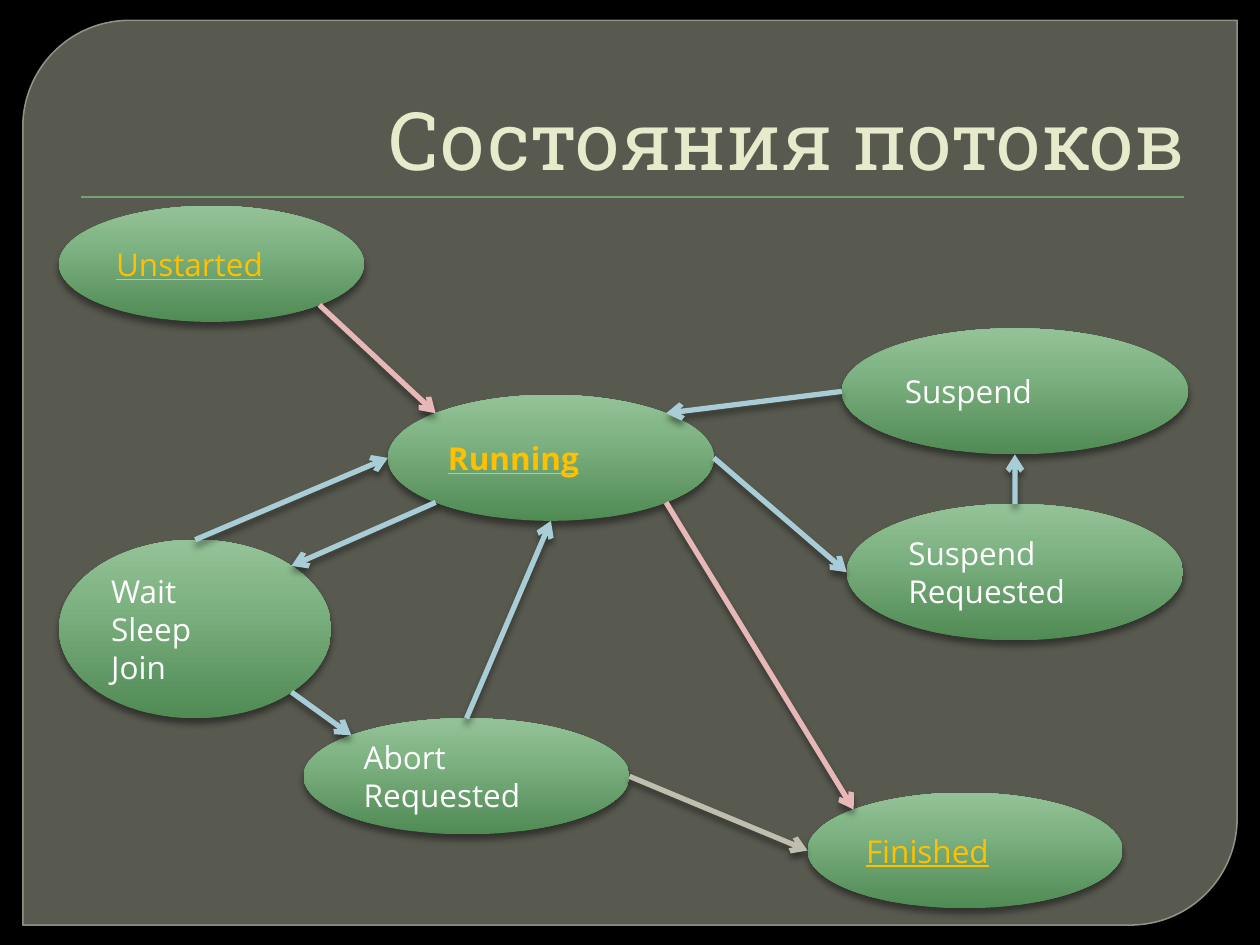
"""Build the thread state diagram slide."""
import copy
import dataclasses
import enum
import math

import lxml.etree
import pptx
import pptx.dml.color
import pptx.enum.shapes
import pptx.enum.text
import pptx.oxml.ns
import pptx.util

Cm = pptx.util.Cm
qn = pptx.oxml.ns.qn
SHAPES = pptx.enum.shapes.MSO_SHAPE
COLORS = {
    "background": "000000", "panel": "888B7B", "panel_line": "9DA090",
    "rule": "72A376", "title": "E7EACB", "text": "FFFFFF", "main_text": "FFC000",
    "dark": "508A55", "middle": "83B687", "light": "94C298", "shadow": "000000",
    "main_flow": "E8B7B7", "flow": "A8CDD7", "abort_flow": "C0BEAF",
}
GRADIENT = ((0, "dark"), (0.72, "middle"), (1, "light"))


class Site(enum.IntEnum):
    TOP = 0
    TOP_LEFT = 1
    LEFT = 2
    BOTTOM_LEFT = 3
    BOTTOM = 4
    BOTTOM_RIGHT = 5
    RIGHT = 6
    TOP_RIGHT = 7


@dataclasses.dataclass(frozen=True)
class State:
    name: str
    text: str
    left: float
    top: float
    width: float
    height: float
    color: str = "text"
    bold: bool = False

    def point(self, site: Site) -> tuple:
        angle = math.radians(90 + 45 * site)
        x = self.left + self.width / 2 * (1 + math.cos(angle))
        y = self.top + self.height / 2 * (1 - math.sin(angle))
        return Cm(x), Cm(y)


@dataclasses.dataclass(frozen=True)
class Transition:
    source: str
    source_site: Site
    target: str
    target_site: Site
    color: str = "flow"


STATES = (
    State("unstarted", "Unstarted", 1.19, 4.15, 6.15, 2.34, "main_text"),
    State("running", "Running", 7.82, 7.96, 6.57, 2.54, "main_text", True),
    State("suspend", "Suspend", 16.97, 6.62, 6.98, 2.54),
    State("suspend_requested", "Suspend\nRequested", 17.07, 10.16, 6.78, 2.75),
    State("wait", "Wait\nSleep\nJoin", 1.19, 10.88, 5.49, 3.6),
    State("finished", "Finished", 16.28, 15.98, 6.35, 2.33, "main_text"),
    State("abort", "Abort Requested", 6.12, 14.48, 6.57, 2.34),
)
TRANSITIONS = (
    Transition("unstarted", Site.BOTTOM_RIGHT, "running", Site.TOP_LEFT, "main_flow"),
    Transition("running", Site.BOTTOM_RIGHT, "finished", Site.TOP_LEFT, "main_flow"),
    Transition("running", Site.BOTTOM_LEFT, "wait", Site.TOP_RIGHT),
    Transition("wait", Site.TOP, "running", Site.LEFT),
    Transition("wait", Site.BOTTOM_RIGHT, "abort", Site.TOP_LEFT),
    Transition("abort", Site.TOP, "running", Site.BOTTOM),
    Transition("running", Site.RIGHT, "suspend_requested", Site.LEFT),
    Transition("suspend_requested", Site.TOP, "suspend", Site.BOTTOM),
    Transition("suspend", Site.LEFT, "running", Site.TOP_RIGHT),
    Transition("abort", Site.RIGHT, "finished", Site.LEFT, "abort_flow"),
)


def rgb(name: str) -> pptx.dml.color.RGBColor:
    return pptx.dml.color.RGBColor.from_string(COLORS[name])


def add_element(parent, tag: str, **attributes):
    values = {key: str(value) for key, value in attributes.items()}
    return lxml.etree.SubElement(parent, qn(tag), values)


def set_opacity(properties, percent: int) -> None:
    color = properties.find(qn("a:solidFill")).find(qn("a:srgbClr"))
    add_element(color, "a:alpha", val=percent * 1000)


def add_shadow(shape) -> None:
    effects = shape._element.spPr.find(qn("a:effectLst"))
    shadow = add_element(effects, "a:outerShdw", blurRad=pptx.util.Pt(4),
                         dist=pptx.util.Pt(3), dir=5400000, rotWithShape=0)
    color = add_element(shadow, "a:srgbClr", val=COLORS["shadow"])
    add_element(color, "a:alpha", val=43000)


def write_text(shape, text: str, *, size: float, font: str, color: str, bold: bool = False,
               underline: bool = False, align=pptx.enum.text.PP_ALIGN.LEFT,
               anchor=pptx.enum.text.MSO_ANCHOR.MIDDLE) -> None:
    frame = shape.text_frame
    frame.text = text
    frame.word_wrap = True
    frame.auto_size = pptx.enum.text.MSO_AUTO_SIZE.NONE
    frame.vertical_anchor = anchor
    for paragraph in frame.paragraphs:
        paragraph.alignment = align
        for run in paragraph.runs:
            run.font.size = pptx.util.Pt(size)
            run.font.name = font
            run.font.bold = bold
            run.font.underline = underline
            run.font.color.rgb = rgb(color)


def add_shape(slide, kind, left: float, top: float, width: float, height: float):
    shape = slide.shapes.add_shape(kind, Cm(left), Cm(top), Cm(width), Cm(height))
    shape.shadow.inherit = False
    shape.line.fill.background()
    return shape


def add_line(slide, start: tuple, end: tuple, color: str, width: float):
    connector = slide.shapes.add_connector(
        pptx.enum.shapes.MSO_CONNECTOR.STRAIGHT, *start, *end)
    connector.line.color.rgb = rgb(color)
    connector.line.width = pptx.util.Pt(width)
    add_element(connector._element.spPr, "a:effectLst")
    return connector


def add_frame(slide) -> None:
    panel = add_shape(slide, SHAPES.ROUND_2_DIAG_RECTANGLE, 0.46, 0.41, 24.48, 18.24)
    panel.adjustments[0] = 0.118
    panel.adjustments[1] = 0
    panel.fill.solid()
    panel.fill.fore_color.rgb = rgb("panel")
    set_opacity(panel._element.spPr, 65)
    panel.line.color.rgb = rgb("panel_line")
    panel.line.width = pptx.util.Pt(0.87)
    set_opacity(panel._element.spPr.find(qn("a:ln")), 88)
    add_line(slide, (Cm(1.63), Cm(3.97)), (Cm(23.86), Cm(3.97)), "rule", 0.75)


def add_title(slide, text: str) -> None:
    title = slide.shapes.title
    title.left, title.top, title.width, title.height = Cm(1.27), Cm(0.71), Cm(22.86), Cm(3.18)
    write_text(title, text, size=46, font="Roboto Slab", color="title",
               align=pptx.enum.text.PP_ALIGN.RIGHT, anchor=pptx.enum.text.MSO_ANCHOR.BOTTOM)
    slide.shapes._spTree.append(title._element)


def add_state(slide, state: State):
    shape = add_shape(slide, SHAPES.OVAL, state.left, state.top, state.width, state.height)
    shape.fill.gradient()
    shape.fill.gradient_angle = 90
    stops = shape._element.spPr.find(qn("a:gradFill")).find(qn("a:gsLst"))
    stops.append(copy.deepcopy(stops[0]))
    for stop, (position, color) in zip(shape.fill.gradient_stops, GRADIENT):
        stop.position = position
        stop.color.rgb = rgb(color)
    add_shadow(shape)
    write_text(shape, state.text, size=18, font="Open Sans", color=state.color,
               bold=state.bold, underline=state.color == "main_text")
    return shape


def add_transition(slide, transition: Transition, states: dict, shapes: dict) -> None:
    start = states[transition.source].point(transition.source_site)
    end = states[transition.target].point(transition.target_site)
    connector = add_line(slide, start, end, transition.color, 3)
    add_element(connector._element.spPr.find(qn("a:ln")), "a:tailEnd", type="arrow")
    add_shadow(connector)
    links = connector._element.find(".//" + qn("p:cNvCxnSpPr"))
    add_element(links, "a:stCxn", id=shapes[transition.source].shape_id,
                idx=int(transition.source_site))
    add_element(links, "a:endCxn", id=shapes[transition.target].shape_id,
                idx=int(transition.target_site))


def main() -> None:
    presentation = pptx.Presentation()
    presentation.slide_width, presentation.slide_height = Cm(25.4), Cm(19.05)
    slide = presentation.slides.add_slide(presentation.slide_layouts[5])
    slide.background.fill.solid()
    slide.background.fill.fore_color.rgb = rgb("background")
    add_frame(slide)
    add_title(slide, "Состояния потоков")
    states = {state.name: state for state in STATES}
    shapes = {state.name: add_state(slide, state) for state in STATES}
    for transition in TRANSITIONS:
        add_transition(slide, transition, states, shapes)
    presentation.save("out.pptx")


main()
